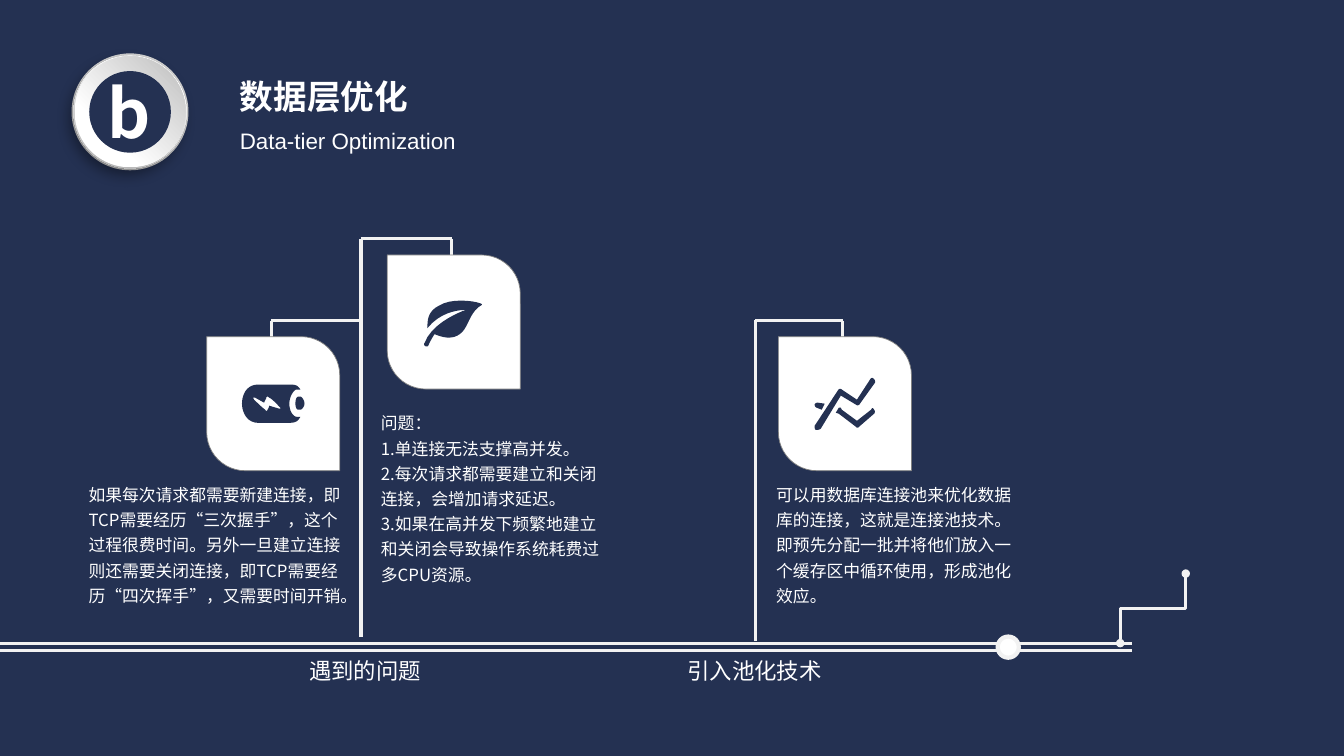
import pptx
import pptx.dml.color
import pptx.enum.dml
import pptx.enum.shapes
import pptx.enum.text
import pptx.oxml
import pptx.oxml.ns
import pptx.util
from lxml import etree

Inches = pptx.util.Inches
SHAPE = pptx.enum.shapes.MSO_SHAPE
CONNECTOR = pptx.enum.shapes.MSO_CONNECTOR
ALIGN = pptx.enum.text.PP_ALIGN
NAVY, WHITE, PALE, GREY = "243152", "FFFFFF", "F2F2F2", "808080"
CJK = "Noto Sans CJK SC"
CARD_W, CARD_H = 1.32, 1.33

# Icons in hundredths of an inch: size, then contours of
# line ends (x, y) and curves (two control points and an end)
BATTERY = (62, 38), [
    [(47, 19), (47, 11, 52, 5, 54, 5), (58, 5), (56, 2, 55, 0, 47, 0), (16, 0),
     (4, 0, 0, 11, 0, 19), (0, 26, 4, 38, 16, 38), (47, 38),
     (55, 38, 56, 35, 58, 32), (54, 32), (52, 32, 47, 28, 47, 19)],
    [(38, 24), (37, 24), (27, 21), (27, 21, 27, 22, 26, 24),
     (25, 25, 25, 28, 23, 25), (20, 23, 12, 15, 12, 15), (11, 13), (13, 13),
     (22, 18), (22, 18, 23, 15, 24, 14), (24, 12, 25, 11, 27, 13),
     (30, 14, 38, 23, 38, 23), (38, 24)],
    [(58, 12), (56, 12), (54, 12, 53, 15, 53, 19), (53, 22, 54, 25, 56, 25),
     (58, 25), (59, 25, 62, 22, 62, 19), (62, 15, 59, 12, 58, 12)]]
LEAF = (62, 52), [
    [(16, 10), (4, 16, 5, 27, 5, 32), (20, 13, 43, 14, 43, 14),
     (43, 14, 10, 25, 2, 47), (0, 49, 5, 52, 6, 49), (8, 44, 12, 38, 12, 38),
     (19, 41, 29, 44, 37, 38), (46, 32, 46, 16, 59, 9), (62, 7, 31, 0, 16, 10)]]
TREND = (60, 52), [
    [(2, 30), (7, 32), (10, 26), (3, 25), (2, 25, 0, 26, 0, 27), (0, 28, 1, 30, 2, 30)],
    [(56, 32), (42, 43), (27, 32), (26, 30), (24, 30), (21, 35), (24, 36), (41, 49),
     (41, 50, 44, 50, 44, 49), (59, 36), (60, 35, 60, 33, 59, 32), (58, 30, 57, 30, 56, 32)],
    [(26, 18), (41, 27), (42, 28, 44, 28, 45, 26), (60, 5), (60, 4, 60, 2, 59, 2),
     (58, 0, 56, 0, 55, 2), (42, 22), (27, 12), (26, 11, 24, 11, 23, 13), (0, 48),
     (0, 50, 0, 51, 1, 52), (3, 52), (3, 52, 4, 52, 6, 51), (26, 18)]]


def color(hex_value):
    return pptx.dml.color.RGBColor.from_string(hex_value)


def write(frame, text, size=12, font=CJK, bold=False, align=ALIGN.LEFT,
          spacing=1.0, wrap=True, inset=0.1):
    frame.word_wrap = wrap
    frame.auto_size = pptx.enum.text.MSO_AUTO_SIZE.SHAPE_TO_FIT_TEXT
    frame.vertical_anchor = pptx.enum.text.MSO_ANCHOR.TOP
    frame.margin_left = frame.margin_right = Inches(inset)
    frame.margin_top = frame.margin_bottom = Inches(0.05)
    frame.text = text
    for paragraph in frame.paragraphs:
        paragraph.alignment = align
        paragraph.line_spacing = spacing
        for run in paragraph.runs:
            run.font.size = pptx.util.Pt(size)
            run.font.bold = bold
            run.font.color.rgb = color(WHITE)
            run.font.name = font
            east_asian = etree.SubElement(run.font._element, pptx.oxml.ns.qn("a:ea"))
            east_asian.set("typeface", font)


def add_text(slide, box, text, **style):
    label = slide.shapes.add_textbox(*map(Inches, box))
    write(label.text_frame, text, **style)


def add_line(slide, start, end, width=2.25, kind=CONNECTOR.STRAIGHT):
    line = slide.shapes.add_connector(kind, *map(Inches, start + end))
    line.line.color.rgb = color(PALE)
    line.line.width = pptx.util.Pt(width)
    etree.SubElement(line._element.spPr, pptx.oxml.ns.qn("a:effectLst"))
    return line


def finish(shape, fill, outline=None, width=0.5):
    shape.shadow.inherit = False
    if fill:
        shape.fill.solid()
        shape.fill.fore_color.rgb = color(fill)
    if outline:
        shape.line.color.rgb = color(outline)
        shape.line.width = pptx.util.Pt(width)
    else:
        shape.line.fill.background()
    return shape


def add_disc(slide, center, diameter, fill=None, **outline):
    left, top = (Inches(c - diameter / 2) for c in center)
    disc = slide.shapes.add_shape(SHAPE.OVAL, left, top, Inches(diameter), Inches(diameter))
    return finish(disc, fill, **outline)


def flatten(contour, steps=10):
    """Turns the curves of a contour into short line segments."""
    points = [contour[0]]
    for part in contour[1:]:
        if len(part) == 2:
            points.append(part)
            continue
        controls = [points[-1], part[:2], part[2:4], part[4:]]
        for step in range(1, steps + 1):
            t = step / steps
            weights = (1 - t) ** 3, 3 * t * (1 - t) ** 2, 3 * t * t * (1 - t), t ** 3
            points.append(tuple(sum(w * c[axis] for w, c in zip(weights, controls))
                                for axis in (0, 1)))
    return [(x * 100, y * 100) for x, y in points]


def add_icon(slide, center, icon):
    (width, height), contours = icon
    outlines = [flatten(contour) for contour in contours]
    builder = slide.shapes.build_freeform(*outlines[0][0], scale=Inches(1) / 10000)
    for index, outline in enumerate(outlines):
        if index:
            builder.move_to(*outline[0])
        builder.add_line_segments(outline[1:], close=True)
    left, top = center[0] - width / 200, center[1] - height / 200
    finish(builder.convert_to_shape(Inches(left), Inches(top)), NAVY)


def add_card(slide, left, top, stem_x, icon):
    # Branch from the stem to the card
    bar_y, drop_x = top - 0.16, left + 0.64
    add_line(slide, (stem_x, bar_y), (drop_x, bar_y))
    add_line(slide, (drop_x, bar_y), (drop_x, top + 0.1))
    # Card with two rounded corners
    card = slide.shapes.add_shape(SHAPE.ROUND_2_DIAG_RECTANGLE,
                                  *map(Inches, (left, top, CARD_W, CARD_H)))
    card.adjustments[0], card.adjustments[1] = 0, 0.29
    finish(card, WHITE, GREY)
    add_icon(slide, (left + CARD_W / 2, top + CARD_H / 2), icon)


def add_gradient(disc, stops, angle):
    disc.fill.gradient()
    disc.fill.gradient_angle = angle
    for stop, (position, value) in zip(disc.fill.gradient_stops, stops):
        stop.position, stop.color.rgb = position, color(value)


def add_badge(slide, center, letter):
    add_disc(slide, center, 1.16, "D3D3D3")
    rim = add_disc(slide, center, 1.12)
    add_gradient(rim, [(0.17, WHITE), (0.88, "B8B8B8")], 250)
    effects = rim._element.spPr.find(pptx.oxml.ns.qn("a:effectLst"))
    effects.append(pptx.oxml.parse_xml(
        f'<a:outerShdw {pptx.oxml.ns.nsdecls("a")} blurRad="127000" dist="63500" '
        'dir="7380000" rotWithShape="0"><a:srgbClr val="000000">'
        '<a:alpha val="39000"/></a:srgbClr></a:outerShdw>'))
    ring = add_disc(slide, center, 1.1)
    add_gradient(ring, [(0.29, WHITE), (0.98, "BFBFBF")], 45)
    add_disc(slide, center, 0.81, NAVY)
    add_text(slide, (center[0] - 0.7, center[1] - 0.45, 1.39, 0.91), letter,
             size=48, bold=True, align=ALIGN.CENTER)


def add_header(slide, left, top):
    title = slide.shapes.title
    title.left, title.top, title.width, title.height = map(Inches, (left, top, 5.42, 0.5))
    write(title.text_frame, "数据层优化", size=24, bold=True)
    add_text(slide, (left, top + 0.51, 5.49, 0.37), "Data-tier Optimization",
             size=16, font="Arial")


def add_timeline(slide, top, right):
    # Double rail and its marker
    for y in (top, top + 0.07):
        add_line(slide, (0, y), (right, y))
    add_disc(slide, (right - 1.23, top + 0.04), 0.21, WHITE, outline=PALE, width=3)
    # Stepped end, turned by a quarter
    step = add_line(slide, (right + 0.55, top - 0.02), (right - 0.14, top - 0.67),
                    width=2, kind=CONNECTOR.ELBOW)
    step._element.spPr.xfrm.set("rot", "5400000")
    stroke = step.line._get_or_add_ln()
    for end in ("a:headEnd", "a:tailEnd"):
        etree.SubElement(stroke, pptx.oxml.ns.qn(end)).set("type", "oval")


def add_stage(slide, stem_x, stem_top, stem_bottom, cards, label_box, label):
    add_line(slide, (stem_x, stem_bottom), (stem_x, stem_top))
    for left, top, icon, text_box, text in cards:
        add_card(slide, left, top, stem_x, icon)
        add_text(slide, text_box, text, spacing=1.25)
    add_text(slide, label_box, label, size=16, align=ALIGN.CENTER, wrap=False, inset=0.05)


def main():
    deck = pptx.Presentation()
    deck.slide_width, deck.slide_height = Inches(13.33), Inches(7.5)
    slide = deck.slides.add_slide(deck.slide_layouts[5])
    slide.background.fill.solid()
    slide.background.fill.fore_color.rgb = color(NAVY)

    add_badge(slide, (1.29, 1.11), "b")
    add_header(slide, 2.28, 0.7)
    add_timeline(slide, 6.38, 11.23)
    add_stage(slide, 3.58, 2.37, 6.32, [
        (2.05, 3.34, BATTERY, (0.78, 4.71, 2.72, 1.34),
         "如果每次请求都需要新建连接，即TCP需要经历“三次握手”，这个过程很费时间。"
         "另外一旦建立连接则还需要关闭连接，即TCP需要经历“四次挥手”，又需要时间开销。"),
        (3.84, 2.53, LEAF, (3.68, 4, 2.45, 1.84),
         "问题：\n1.单连接无法支撑高并发。\n2.每次请求都需要建立和关闭连接，会增加请求延迟。\n"
         "3.如果在高并发下频繁地建立和关闭会导致操作系统耗费过多CPU资源。"),
    ], (3.01, 6.47, 1.22, 0.37), "遇到的问题")
    add_stage(slide, 7.49, 3.17, 6.36, [
        (7.72, 3.34, TREND, (7.6, 4.71, 2.65, 1.34),
         "可以用数据库连接池来优化数据库的连接，这就是连接池技术。\n"
         "即预先分配一批并将他们放入一个缓存区中循环使用，形成池化效应。"),
    ], (6.76, 6.47, 1.45, 0.37), "引入池化技术")
    deck.save("out.pptx")


if __name__ == "__main__":
    main()
